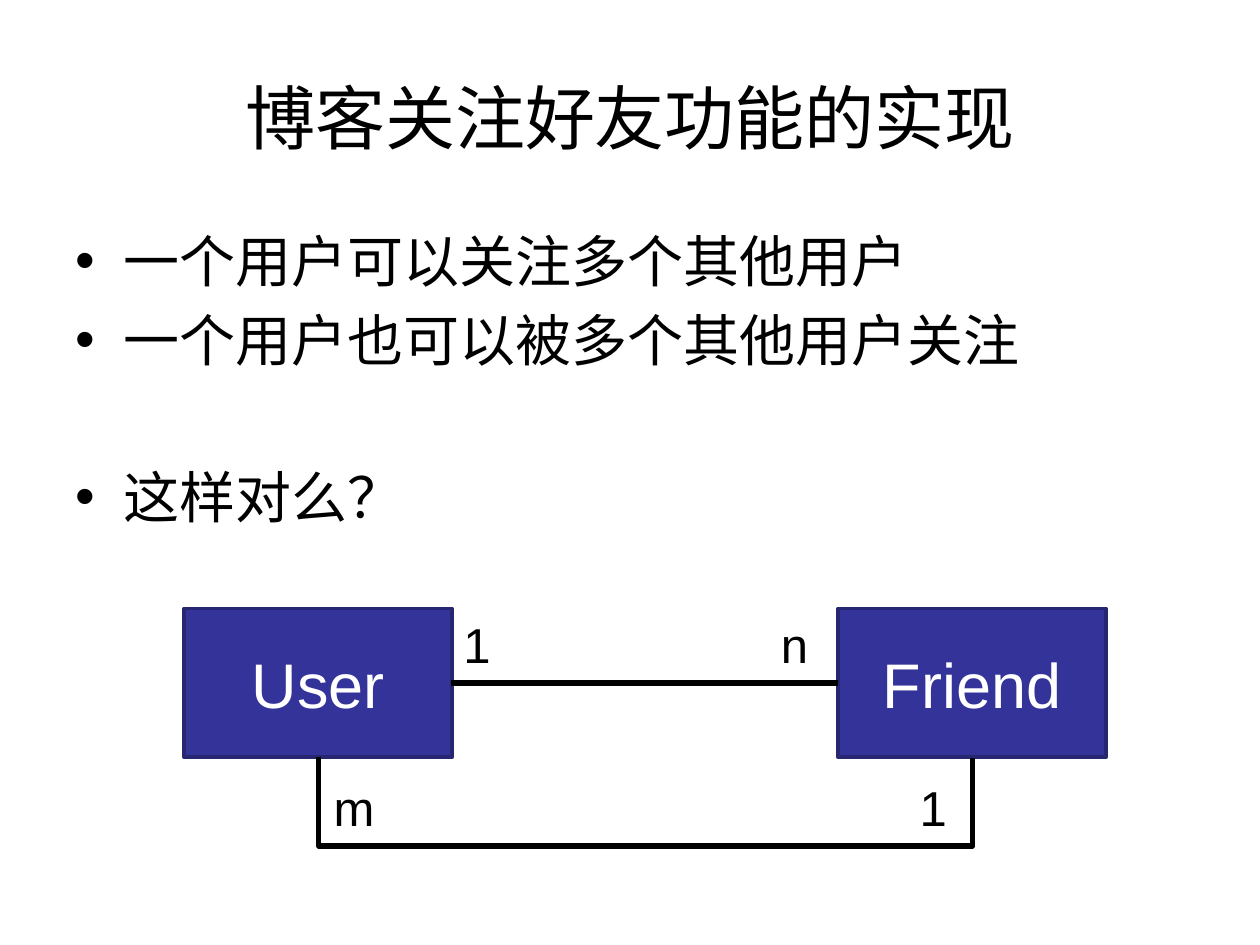
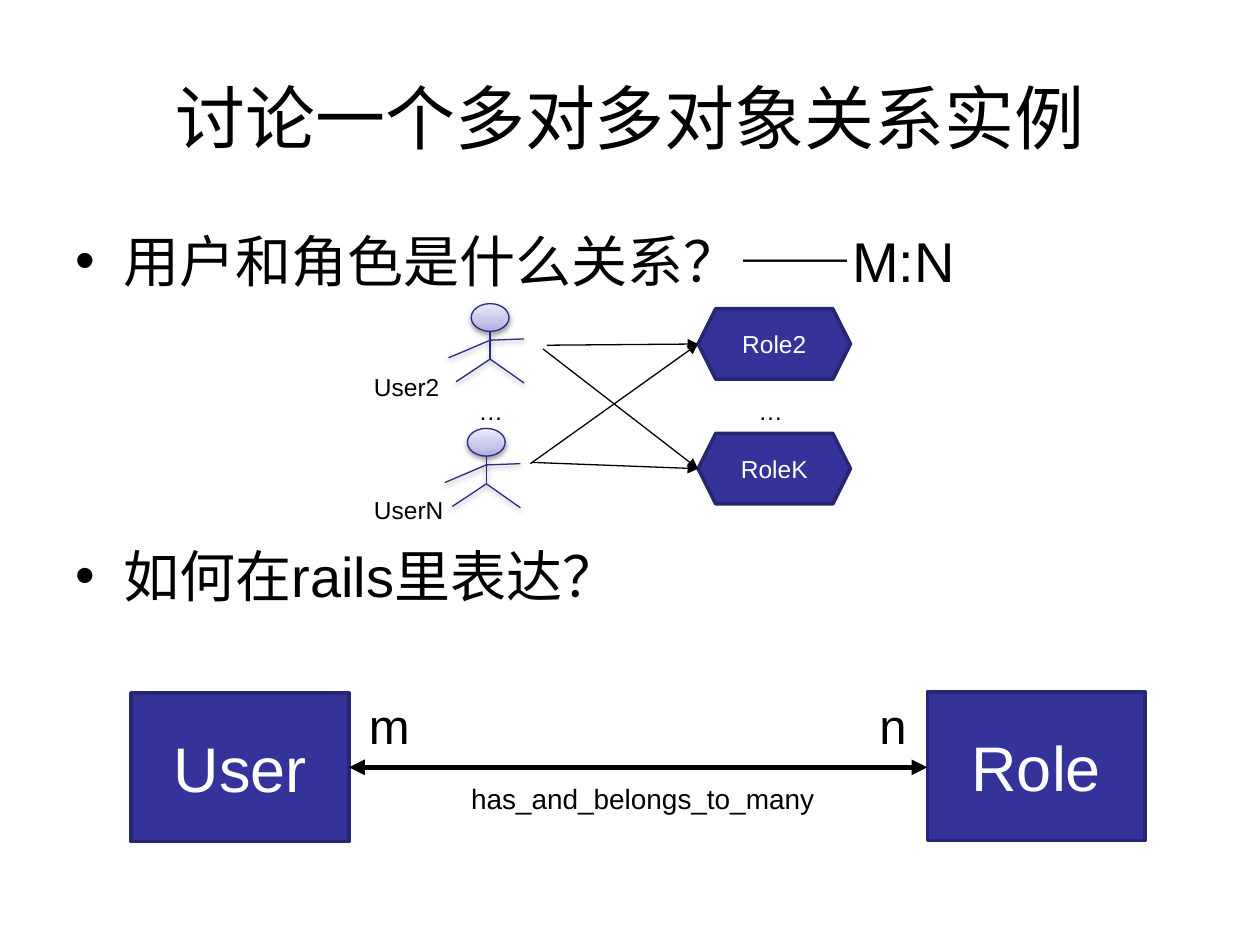
from dataclasses import dataclass

from lxml.etree import SubElement
from pptx import Presentation
from pptx.dml.color import RGBColor
from pptx.enum.shapes import MSO_CONNECTOR, MSO_SHAPE
from pptx.enum.text import MSO_ANCHOR, PP_ALIGN
from pptx.oxml import parse_xml
from pptx.oxml.ns import nsdecls, qn
from pptx.util import Inches, Pt


@dataclass(frozen=True)
class Theme:
    font: str = "Arial"
    ink: str = "000000"
    paper: str = "FFFFFF"
    box: str = "333399"
    box_edge: str = "262671"
    figure_edge: str = "2A2A89"
    head_stops: tuple = ((0, "ADADE1"), (35, "C6C6E9"), (100, "E9E9F7"))
    title: int = 40
    body: int = 32
    entity: int = 36
    cardinality: int = 28
    caption: int = 16
    small: int = 14
    thin: float = 0.75
    edge: float = 2
    thick: float = 3
    bullet_gap: float = 6.4
    bullet_row: float = 45.1


THEME = Theme()


@dataclass(frozen=True)
class Bullet:
    text: str
    rows_above: int = 0  # free rows left above the bullet


@dataclass(frozen=True)
class Node:
    text: str
    left: float
    top: float
    width: float
    height: float
    size: int = THEME.entity
    outline: MSO_SHAPE = MSO_SHAPE.RECTANGLE


@dataclass(frozen=True)
class Label:
    text: str
    left: float
    top: float
    width: float
    height: float
    size: int = THEME.cardinality


@dataclass(frozen=True)
class Link:
    start: tuple[float, float]
    end: tuple[float, float]
    weight: float = THEME.thin
    color: str = THEME.ink
    arrows: tuple[str, ...] = ()


@dataclass(frozen=True)
class StickFigure:
    center: float
    top: float


# Limbs of a stick figure, measured from the top middle of the head
HEAD_WIDTH, HEAD_HEIGHT = 0.3, 0.22
LIMBS = (
    ((0, 0.22), (0, 0.44)),
    ((0, 0.44), (0.27, 0.63)),
    ((-0.27, 0.62), (0, 0.44)),
    ((0, 0.29), (0.27, 0.28)),
    ((-0.33, 0.43), (0, 0.29)),
)


def rgb(color: str) -> RGBColor:
    return RGBColor.from_string(color)


def style(paragraph, size: int, color: str = THEME.ink) -> None:
    paragraph.font.name = THEME.font
    paragraph.font.size = Pt(size)
    paragraph.font.color.rgb = rgb(color)


def add_text_frame(slide, left, top, width, height):
    frame = slide.shapes.add_textbox(
        Inches(left), Inches(top), Inches(width), Inches(height)).text_frame
    frame.word_wrap = True
    return frame


def add_title(slide, text: str) -> None:
    frame = add_text_frame(slide, 0.5, 0.3, 9, 1.25)
    frame.vertical_anchor = MSO_ANCHOR.MIDDLE
    heading = frame.paragraphs[0]
    heading.text = text
    heading.alignment = PP_ALIGN.CENTER
    style(heading, THEME.title)


def add_bullets(slide, bullets: list[Bullet]) -> None:
    frame = add_text_frame(slide, 0.5, 1.75, 9, 4.95)
    for index, bullet in enumerate(bullets):
        line = frame.add_paragraph() if index else frame.paragraphs[0]
        line.text = bullet.text
        if index:
            line.space_before = Pt(
                THEME.bullet_gap + bullet.rows_above * THEME.bullet_row)
        properties = line._p.get_or_add_pPr()
        properties.set("marL", str(Inches(0.38)))
        properties.set("indent", str(-Inches(0.38)))
        SubElement(properties, qn("a:buFont")).set("typeface", THEME.font)
        SubElement(properties, qn("a:buChar")).set("char", "•")
        style(line, THEME.body)


def add_node(slide, node: Node) -> None:
    shape = slide.shapes.add_shape(
        node.outline, Inches(node.left), Inches(node.top),
        Inches(node.width), Inches(node.height))
    shape.shadow.inherit = False
    shape.fill.solid()
    shape.fill.fore_color.rgb = rgb(THEME.box)
    shape.line.color.rgb = rgb(THEME.box_edge)
    shape.line.width = Pt(THEME.edge)
    shape.text_frame.vertical_anchor = MSO_ANCHOR.MIDDLE
    name = shape.text_frame.paragraphs[0]
    name.text = node.text
    name.alignment = PP_ALIGN.CENTER
    style(name, node.size, THEME.paper)


def add_label(slide, label: Label) -> None:
    frame = add_text_frame(
        slide, label.left, label.top, label.width, label.height)
    frame.paragraphs[0].text = label.text
    style(frame.paragraphs[0], label.size)


def add_link(shapes, link: Link, kind=MSO_CONNECTOR.STRAIGHT):
    connector = shapes.add_connector(
        kind, *(Inches(value) for value in (*link.start, *link.end)))
    connector.line.color.rgb = rgb(link.color)
    connector.line.width = Pt(link.weight)
    for end in link.arrows:
        SubElement(connector.line._get_or_add_ln(), qn(f"a:{end}")).set(
            "type", "triangle")
    SubElement(connector._element.spPr, qn("a:effectLst"))
    return connector


def add_u_link(slide, left: float, right: float, top: float,
               drop: float) -> None:
    """Join two bottom edges: an elbow connector turned a quarter to the left."""
    depth, span = 0.01, right - left
    middle = (left + right) / 2
    connector = add_link(
        slide.shapes,
        Link((middle + depth / 2, top - span / 2),
             (middle - depth / 2, top + span / 2), THEME.thick),
        MSO_CONNECTOR.ELBOW)
    properties = connector._element.spPr
    properties.find(qn("a:xfrm")).set("rot", str(270 * 60000))
    guide = SubElement(properties.find(qn("a:prstGeom")).find(qn("a:avLst")),
                       qn("a:gd"))
    guide.set("name", "adj1")
    guide.set("fmla", f"val {round(drop / depth * 100000)}")


def add_soft_shadow(shape) -> None:
    properties = shape._element.spPr
    for effects in properties.findall(qn("a:effectLst")):
        properties.remove(effects)
    properties.append(parse_xml(
        f'<a:effectLst {nsdecls("a")}><a:outerShdw blurRad="{Pt(3.1)}" '
        f'dist="{Pt(1.6)}" dir="5400000" rotWithShape="0">'
        '<a:srgbClr val="000000"><a:alpha val="38000"/></a:srgbClr>'
        '</a:outerShdw></a:effectLst>'))


def add_stick_figure(slide, figure: StickFigure) -> None:
    parts = slide.shapes.add_group_shape().shapes
    head = parts.add_shape(
        MSO_SHAPE.OVAL, Inches(figure.center - HEAD_WIDTH / 2),
        Inches(figure.top), Inches(HEAD_WIDTH), Inches(HEAD_HEIGHT))
    stops = "".join(
        f'<a:gs pos="{place * 1000}"><a:srgbClr val="{color}"/></a:gs>'
        for place, color in THEME.head_stops)
    head._element.spPr.find(qn("a:prstGeom")).addnext(parse_xml(
        f'<a:gradFill {nsdecls("a")} rotWithShape="1"><a:gsLst>{stops}'
        '</a:gsLst><a:lin ang="16200000" scaled="0"/></a:gradFill>'))
    head.line.color.rgb = rgb(THEME.figure_edge)
    head.line.width = Pt(THEME.thin)
    add_soft_shadow(head)
    for limb in LIMBS:
        start, end = ((figure.center + x, figure.top + y) for x, y in limb)
        add_soft_shadow(
            add_link(parts, Link(start, end, color=THEME.figure_edge)))


def add_content_slide(deck, title: str, bullets: list[Bullet]):
    slide = deck.slides.add_slide(deck.slide_layouts[6])
    add_title(slide, title)
    add_bullets(slide, bullets)
    return slide


def build_friend_slide(deck) -> None:
    slide = add_content_slide(deck, "博客关注好友功能的实现", [
        Bullet("一个用户可以关注多个其他用户"),
        Bullet("一个用户也可以被多个其他用户关注"),
        Bullet("这样对么？", rows_above=1),
    ])
    # Entities and their two relations
    for name, left in (("User", 1.46), ("Friend", 6.65)):
        add_node(slide, Node(name, left, 4.83, 2.13, 1.18))
    add_link(slide.shapes, Link((3.58, 5.42), (6.65, 5.42), THEME.thick))
    add_u_link(slide, 2.53, 7.72, 6.01, 0.72)
    # Cardinalities
    for text, left, top in (("1", 3.58, 4.83), ("n", 6.1, 4.83),
                            ("1", 7.2, 6.12), ("m", 2.55, 6.12)):
        add_label(slide, Label(text, left, top, 1.1, 0.57))


def build_role_slide(deck) -> None:
    slide = add_content_slide(deck, "讨论一个多对多对象关系实例", [
        Bullet("用户和角色是什么关系？——M:N"),
        Bullet("如何在rails里表达？", rows_above=3),
    ])
    # Users
    for figure in (StickFigure(3.89, 2.41), StickFigure(3.86, 3.4)):
        add_stick_figure(slide, figure)
    for text, left, top, width in (("User2", 2.87, 2.9, 0.84),
                                   ("UserN", 2.87, 3.88, 0.84),
                                   ("…", 3.7, 3.09, 0.6),
                                   ("…", 5.92, 3.09, 0.6)):
        add_label(slide, Label(text, left, top, width, 0.34, THEME.small))
    # Roles, and the arrows from each user to each role
    for name, top in (("Role2", 2.45), ("RoleK", 3.44)):
        add_node(slide, Node(name, 5.54, top, 1.21, 0.56, THEME.small,
                             MSO_SHAPE.HEXAGON))
    for start, role_y in (((4.34, 2.74), 2.73), ((4.22, 3.67), 3.72),
                          ((4.31, 2.77), 3.72), ((4.21, 3.68), 2.73)):
        add_link(slide.shapes,
                 Link(start, (5.54, role_y), arrows=("tailEnd",)))
    # Many-to-many relation
    for name, left, top in (("User", 1.04, 5.5), ("Role", 7.36, 5.49)):
        add_node(slide, Node(name, left, top, 1.73, 1.18))
    add_link(slide.shapes, Link((2.77, 6.09), (7.36, 6.09), THEME.thick,
                                arrows=("headEnd", "tailEnd")))
    for text, left in (("m", 2.83), ("n", 6.88)):
        add_label(slide, Label(text, left, 5.47, 0.49, 0.57))
    add_label(slide, Label("has_and_belongs_to_many", 3.64, 6.15, 2.93, 0.37,
                           THEME.caption))


def main() -> None:
    deck = Presentation()
    deck.slide_width = Inches(10)
    deck.slide_height = Inches(7.5)
    build_friend_slide(deck)
    build_role_slide(deck)
    deck.save("out.pptx")


if __name__ == "__main__":
    main()
